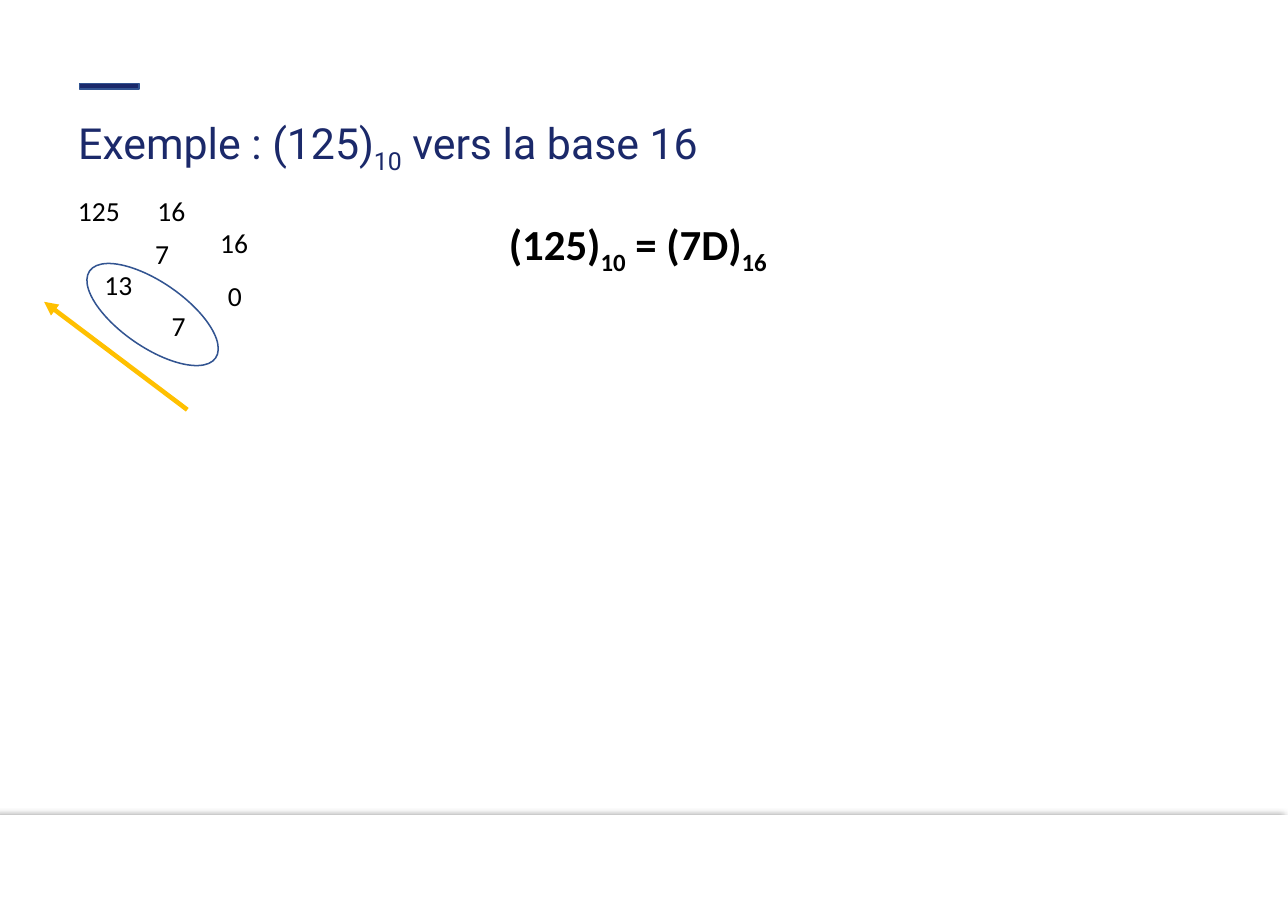
from dataclasses import dataclass

from lxml import etree
from pptx import Presentation
from pptx.dml.color import RGBColor
from pptx.enum import shapes, text
from pptx.oxml import ns
from pptx.util import Inches, Pt

TITLE = [("Exemple : (125)", False), ("10", True), (" vers la base 16", False)]
RESULT = [("(125)", False), ("10", True), (" = (7D)", False), ("16", True)]
DIVISION = [
    ("125", 0.61, 1.71, 0.84),
    ("16", 1.33, 1.71, 0.46),
    ("16", 1.9, 2, 0.46),
    ("7", 1.31, 2.1, 0.33),
    ("0", 1.97, 2.48, 0.33),
    ("13", 0.85, 2.38, 0.46),
    ("7", 1.46, 2.76, 0.33),
]


@dataclass(frozen=True)
class Theme:
    navy: RGBColor = RGBColor(0x1B, 0x29, 0x6A)
    outline: RGBColor = RGBColor(0x32, 0x54, 0x91)
    arrow: RGBColor = RGBColor(0xFF, 0xC0, 0x00)
    ink: RGBColor = RGBColor(0, 0, 0)
    paper: RGBColor = RGBColor(0xFF, 0xFF, 0xFF)
    title_font: str = "Roboto"
    body_font: str = "Calibri"
    large: int = 28
    small: int = 18


theme = Theme()


def box(*lengths):
    return [Inches(n) for n in lengths]


def add_shape(slide, kind, place, fill=None, line=None):
    sp = slide.shapes.add_shape(kind, *box(*place))
    sp.shadow.inherit = False
    if fill is None:
        sp.fill.background()
    else:
        sp.fill.solid()
        sp.fill.fore_color.rgb = fill
    if line is None:
        sp.line.fill.background()
    else:
        sp.line.color.rgb = line
        sp.line.width = Pt(1)
    return sp


def write(sp, runs, font, size, color, bold=False):
    p = sp.text_frame.paragraphs[0]
    for words, subscript in runs:
        r = p.add_run()
        r.text = words
        r.font.name = font
        r.font.size = Pt(size)
        r.font.color.rgb = color
        r.font.bold = bold
        if subscript:
            r._r.get_or_add_rPr().set("baseline", "-25000")
    return p


def add_title(slide):
    sp = slide.shapes.title
    sp.left, sp.top, sp.width, sp.height = box(0.61, 1.02, 10.36, 0.55)
    tf = sp.text_frame
    tf.auto_size = text.MSO_AUTO_SIZE.NONE
    tf.vertical_anchor = text.MSO_ANCHOR.TOP
    p = write(sp, TITLE, theme.title_font, theme.large, theme.navy)
    p.alignment = text.PP_ALIGN.LEFT
    p.line_spacing = 0.9
    p.space_before = Pt(0)


def add_text(slide, runs, place, size, bold=False):
    sp = slide.shapes.add_textbox(*box(*place))
    sp.text_frame.word_wrap = True
    write(sp, runs, theme.body_font, size, theme.ink, bold)


def add_footer(slide):
    sp = add_shape(slide, shapes.MSO_SHAPE.RECTANGLE, (0, 7.4, 11.69, 0.87), theme.paper)
    effects = sp._element.spPr.find(ns.qn("a:effectLst"))
    shadow = etree.SubElement(
        effects, ns.qn("a:outerShdw"),
        blurRad=str(Pt(4)), dist=str(Pt(3)), dir="10800000", rotWithShape="0",
    )
    color = etree.SubElement(shadow, ns.qn("a:srgbClr"), val=str(theme.ink))
    etree.SubElement(color, ns.qn("a:alpha"), val="40000")


def add_arrow(slide):
    arrow = slide.shapes.add_connector(
        shapes.MSO_CONNECTOR.STRAIGHT, *box(1.7, 3.72, 0.4, 2.74)
    )
    arrow.line.color.rgb = theme.arrow
    arrow.line.width = Pt(3)
    etree.SubElement(arrow.line._get_or_add_ln(), ns.qn("a:tailEnd"), type="triangle")
    etree.SubElement(arrow._element.spPr, ns.qn("a:effectLst"))


def main():
    prs = Presentation()
    prs.slide_width, prs.slide_height = box(11.69, 8.27)
    slide = prs.slides.add_slide(prs.slide_layouts[5])

    add_footer(slide)
    add_shape(slide, shapes.MSO_SHAPE.RECTANGLE, (0.72, 0.76, 0.54, 0.05),
              theme.navy, theme.outline)
    add_title(slide)
    for number, left, top, width in DIVISION:
        add_text(slide, [(number, False)], (left, top, width, 0.4), theme.small)
    remainders = add_shape(slide, shapes.MSO_SHAPE.OVAL, (0.69, 2.56, 1.39, 0.59),
                           line=theme.outline)
    remainders.rotation = 34.6
    add_arrow(slide)
    add_text(slide, RESULT, (4.52, 1.93, 3.3, 0.57), theme.large, bold=True)
    prs.save("out.pptx")


if __name__ == "__main__":
    main()
